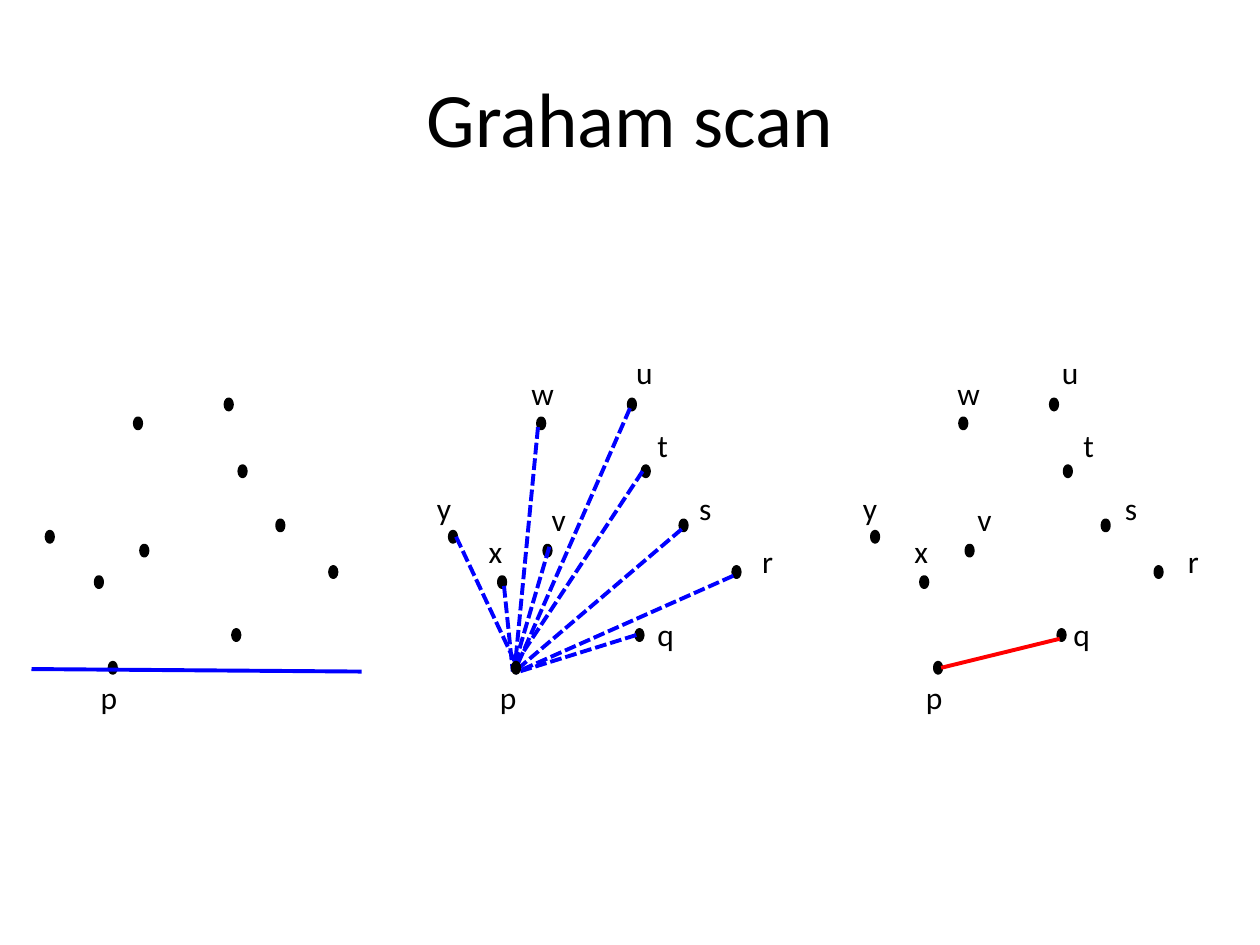
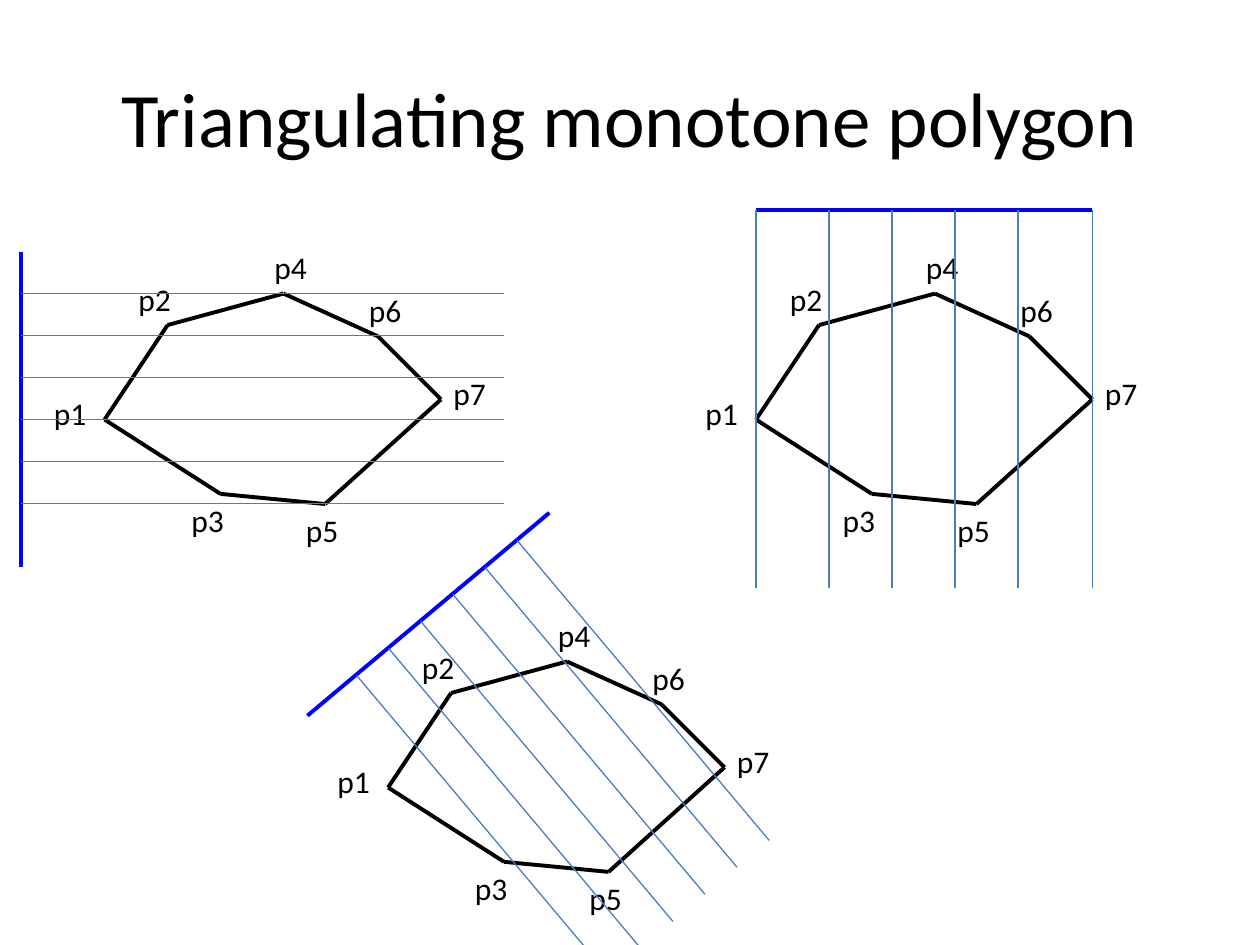
from lxml import etree
from pptx import Presentation
from pptx.dml.color import RGBColor
from pptx.enum.dml import MSO_LINE
from pptx.enum.shapes import MSO_CONNECTOR, MSO_SHAPE
from pptx.enum.text import MSO_ANCHOR, PP_ALIGN
from pptx.oxml.ns import qn
from pptx.util import Inches, Pt

OVAL = MSO_SHAPE.OVAL
STRAIGHT = MSO_CONNECTOR.STRAIGHT
DASH = MSO_LINE.SQUARE_DOT
LEFT, CENTER = PP_ALIGN.LEFT, PP_ALIGN.CENTER
TOP, MIDDLE = MSO_ANCHOR.TOP, MSO_ANCHOR.MIDDLE

FONT = "Calibri"
BLACK, BLUE, RED, STEEL = "000000", "0000FF", "FF0000", "4B7EBC"
BOLD, THIN = 2.25, 0.75

SCAN = "Graham scan"
DOTS = {
    "q": (1.85, 5), "r": (2.62, 4.5), "s": (2.2, 4.13), "t": (1.9, 3.7),
    "u": (1.79, 3.17), "v": (1.12, 4.33), "w": (1.07, 3.32),
    "x": (0.76, 4.58), "y": (0.37, 4.22), "p": (0.87, 5.26),
}
DOT_SHIFTS = (0, 3.2, 6.55)
TAGS = {
    "p": (3.87, 5.33), "q": (5.12, 4.83), "r": (5.95, 4.25),
    "s": (5.45, 3.83), "t": (5.12, 3.33), "u": (4.95, 2.75),
    "v": (4.28, 3.92), "w": (4.12, 2.92), "x": (3.78, 4.17),
    "y": (3.37, 3.83),
}
TAG_SHIFT = 3.38
LAST_TAGS = {**TAGS, "q": (5.04, 4.83)}
RAYS = [
    ((5.05, 5.04), (4.09, 5.34)), ((5.82, 4.57), (4.11, 5.33)),
    ((5.41, 4.2), (4.12, 5.3)), ((5.1, 3.74), (4.07, 5.3)),
    ((5, 3.24), (4.11, 5.27)), ((4.36, 4.34), (4.09, 5.26)),
    ((4.27, 3.39), (4.09, 5.26)), ((4, 4.65), (4.07, 5.33)),
    ((3.62, 4.26), (4.09, 5.26)),
]
BASE = ((0.25, 5.31), (2.87, 5.33))
EDGE = ((7.47, 5.3), (8.41, 5.07))

MONO = "Triangulating monotone polygon"
RING = [(0.83, 3.33), (1.33, 2.58), (2.25, 2.33), (3, 2.67),
        (3.5, 3.17), (2.58, 4), (1.75, 3.92)]
NAMES = {
    "p1": (0.33, 3.08), "p2": (1, 2.17), "p3": (1.42, 3.93),
    "p4": (2.08, 1.92), "p5": (2.33, 4.01), "p6": (2.83, 2.26),
    "p7": (3.5, 2.92),
}
SWEEPS = [
    {"shift": (0, 0), "axis": ((0.17, 4.5), (0.17, 2)), "reach": (3.83, 0),
     "starts": [(0.17, 2.33 + i / 3) for i in range(6)]},
    {"shift": (5.17, 0), "axis": ((6, 1.67), (8.67, 1.67)), "reach": (0, 3),
     "starts": [(x, 1.67) for x in (6, 6.58, 7.08, 7.58, 8.08, 8.67)]},
    {"shift": (2.25, 2.92), "axis": ((2.44, 5.68), (4.36, 4.07)),
     "reach": (2, 2.38),
     "starts": [(2.83 + 0.255 * i, 5.36 - 0.214 * i) for i in range(6)]},
]


def color(code):
    return RGBColor.from_string(code)


def move(spot, dx, dy=0):
    return spot[0] + dx, spot[1] + dy


def write(slide, text, x, y, w=0.5, h=0.4, size=18, align=LEFT, anchor=TOP):
    box = slide.shapes.add_textbox(Inches(x), Inches(y), Inches(w), Inches(h))
    frame = box.text_frame
    frame.word_wrap = True
    frame.vertical_anchor = anchor
    para = frame.paragraphs[0]
    para.text = text
    para.alignment = align
    para.font.name = FONT
    para.font.size = Pt(size)
    para.font.color.rgb = color(BLACK)


def line(slide, start, end, tint=BLACK, width=BOLD, dash=None):
    ends = [Inches(v) for v in (*start, *end)]
    link = slide.shapes.add_connector(STRAIGHT, *ends)
    link.line.color.rgb = color(tint)
    link.line.width = Pt(width)
    if dash:
        link.line.dash_style = dash
    etree.SubElement(link._element.spPr, qn("a:effectLst"))


def dot(slide, spot):
    x, y = spot
    mark = slide.shapes.add_shape(
        OVAL, Inches(x), Inches(y), Inches(0.05), Inches(0.08))
    mark.shadow.inherit = False
    mark.fill.solid()
    mark.fill.fore_color.rgb = color(BLACK)
    mark.line.color.rgb = color(BLACK)
    mark.line.width = Pt(BOLD)


def label(slide, tags, dx=0, dy=0):
    for name, spot in tags.items():
        write(slide, name, *move(spot, dx, dy))


def start(deck, title):
    slide = deck.slides.add_slide(deck.slide_layouts[6])
    write(slide, title, 0.5, 0.3, w=9, h=1.25, size=44,
          align=CENTER, anchor=MIDDLE)
    return slide


def scan(deck):
    slide = start(deck, SCAN)
    for shift in DOT_SHIFTS:
        for name, spot in DOTS.items():
            if name != "p":
                dot(slide, move(spot, shift))
    for ray in RAYS:
        line(slide, *ray, tint=BLUE, dash=DASH)
    for shift in DOT_SHIFTS:
        dot(slide, move(DOTS["p"], shift))
    line(slide, *BASE, tint=BLUE)
    line(slide, *EDGE, tint=RED)
    label(slide, {"p": (0.7, 5.33)})
    label(slide, TAGS)
    label(slide, LAST_TAGS, TAG_SHIFT)


def mono(deck):
    slide = start(deck, MONO)
    for sweep in SWEEPS:
        shift = sweep["shift"]
        ring = [move(spot, *shift) for spot in RING]
        for a, b in zip(ring, ring[1:] + ring[:1]):
            line(slide, a, b)
        label(slide, NAMES, *shift)
        line(slide, *sweep["axis"], tint=BLUE)
        for spot in sweep["starts"]:
            line(slide, spot, move(spot, *sweep["reach"]), STEEL, THIN)


def main():
    deck = Presentation()
    deck.slide_width, deck.slide_height = Inches(10), Inches(7.5)
    scan(deck)
    mono(deck)
    deck.save("out.pptx")


if __name__ == "__main__":
    main()
